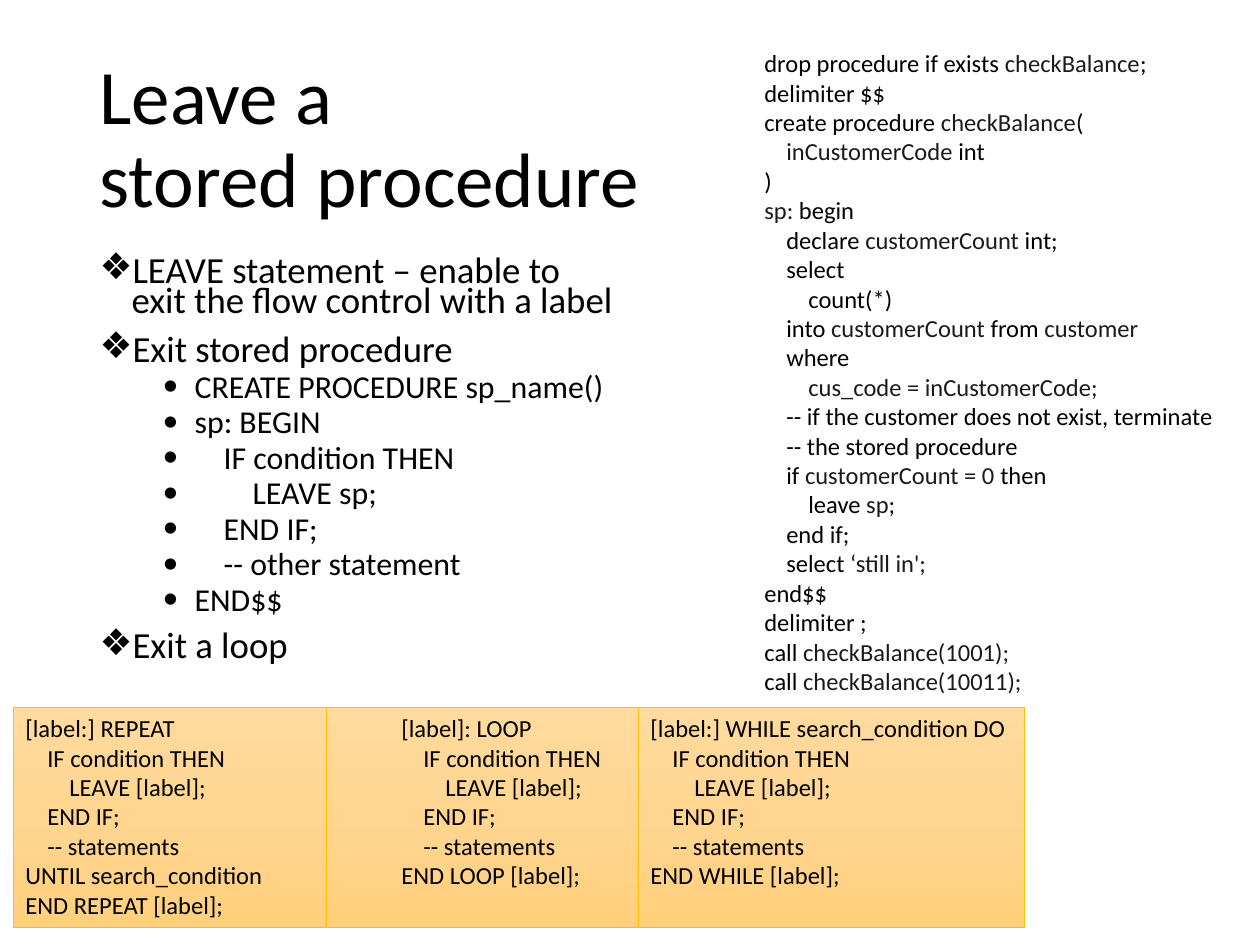
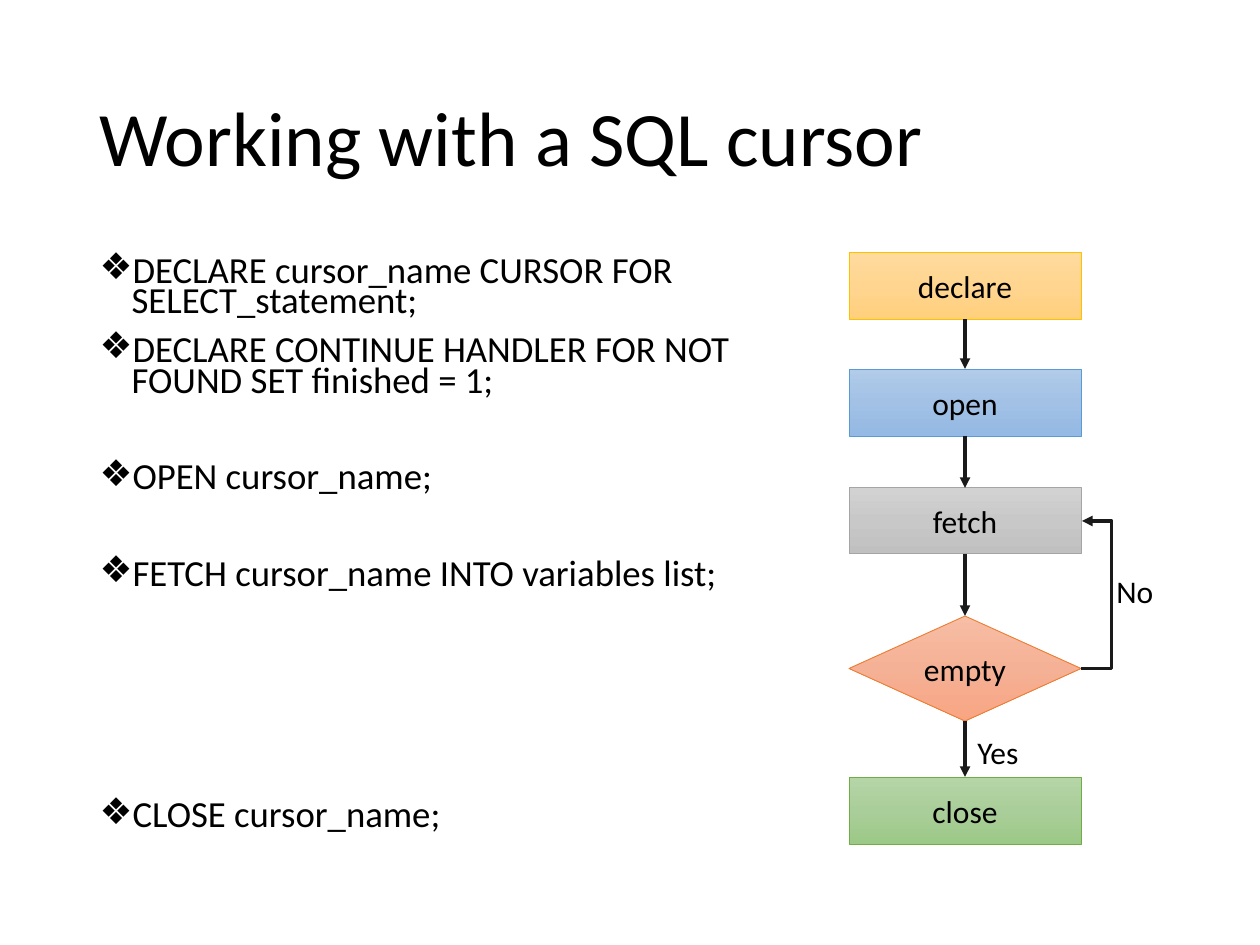
"""Build two slides on leaving stored procedures and working with cursors."""
from itertools import pairwise

from pptx import Presentation
from pptx.dml.color import RGBColor
from pptx.enum.shapes import MSO_CONNECTOR, MSO_SHAPE
from pptx.enum.text import MSO_ANCHOR, MSO_AUTO_SIZE, PP_ALIGN
from pptx.oxml import parse_xml
from pptx.oxml.ns import nsdecls
from pptx.util import Pt

EMU_PER_PIXEL = 914400 / 126
FONT = "Calibri"
COLORS = {"text": "000000", "accent": "1A1A1A"}
PALETTES = {
    "gold": ("FFC000", ("FFDB9E", "FFD590", "FFD07C")),
    "blue": ("5B9BD5", ("B1CBE9", "A3C1E5", "93B9E4")),
    "gray": ("A5A5A5", ("D2D2D2", "C8C8C8", "C0C0C0")),
    "orange": ("ED7D31", ("F7BDA5", "F5B196", "F8A582")),
    "green": ("70AD47", ("B5D5A7", "AACE9A", "9CC987")),
}
TITLE_AREA = (87, 50, 1086, 183)
TITLE_FORMAT = {"alignment": PP_ALIGN.LEFT, "line_spacing": 0.9, "space_before": Pt(0)}
CODE_FORMAT = {"alignment": PP_ALIGN.LEFT}
LABEL_FORMAT = {"alignment": PP_ALIGN.CENTER}
CODE_STEP = 22
BULLET_STEP = 29
BULLET_HANG = 32
BULLET_LEVELS = [
    {"mark": "❖", "size": 21, "margin": 32, "before": 10},
    {"mark": "•", "size": 18.2, "margin": 95, "before": 5},
]
BLANK_LINE = 27.6

LEAVE_TITLE = "Leave a\vstored procedure"
LEAVE_AREA = (87, 252, 543, 486)
LEAVE_BULLETS = [
    (0, 0, "LEAVE statement – enable to exit the flow control with a label", 0),
    (0, 0, "Exit stored procedure", 0),
    (1, 0, "CREATE PROCEDURE sp_name()", 0),
    (1, 0, "sp: BEGIN", 0),
    (1, 1, "IF condition THEN", 0),
    (1, 2, "LEAVE sp;", 0),
    (1, 1, "END IF;", 0),
    (1, 1, "-- other statement", 0),
    (1, 0, "END$$", 0),
    (0, 0, "Exit a loop", 0),
]
PROCEDURE_AREA = (752, 42, 630, 665)
PROCEDURE = [
    (0, "drop procedure if exists |checkBalance|;"),
    (0, "delimiter $$"),
    (0, "create procedure |checkBalance|("),
    (1, "|inCustomerCode| int"),
    (0, ")"),
    (0, "|sp: |begin"),
    (1, "declare |customerCount| int;"),
    (1, "select"),
    (2, "count(*)"),
    (1, "into |customerCount| from |customer"),
    (1, "where"),
    (2, "|cus_code = inCustomerCode;"),
    (1, "-- if the customer does not exist, terminate"),
    (1, "-- the stored procedure"),
    (1, "if |customerCount = 0 |then"),
    (2, "leave |sp|;"),
    (1, "end if;"),
    (1, "select |‘still in';"),
    (0, "end$$"),
    (0, "delimiter ;"),
    (0, "call |checkBalance(1001);"),
    (0, "call |checkBalance(10011);"),
]
LOOP_TOP, LOOP_HEIGHT = 707, 221
LOOP_BODY = [
    (1, "IF condition THEN"),
    (2, "LEAVE [label];"),
    (1, "END IF;"),
    (1, "-- statements"),
]
LOOPS = [
    (13, 314, 0, "[label:] REPEAT", ["UNTIL search_condition", "END REPEAT [label];"]),
    (326, 314, 63, "[label]: LOOP", ["END LOOP [label];"]),
    (638, 387, 0, "[label:] WHILE search_condition DO", ["END WHILE [label];"]),
]

CURSOR_TITLE = "Working with a SQL cursor"
CURSOR_AREA = (87, 252, 690, 600)
CURSOR_BULLETS = [
    (0, 0, "DECLARE cursor_name CURSOR FOR SELECT_statement;", 0),
    (0, 0, "DECLARE CONTINUE HANDLER FOR NOT FOUND SET finished = 1;", 0),
    (0, 0, "OPEN cursor_name;", 1),
    (0, 0, "FETCH cursor_name INTO variables list;", 1),
    (0, 0, "CLOSE cursor_name;", 4),
]
STEP_LEFT, STEP_WIDTH = 849, 232
STEPS = [
    ("declare", "gold", MSO_SHAPE.RECTANGLE, 252, 67),
    ("open", "blue", MSO_SHAPE.RECTANGLE, 369, 67),
    ("fetch", "gray", MSO_SHAPE.RECTANGLE, 488, 66),
    ("empty", "orange", MSO_SHAPE.DIAMOND, 616, 105),
    ("close", "green", MSO_SHAPE.RECTANGLE, 777, 67),
]
ANSWERS = [("No", (1104, 566, 69, 50)), ("Yes", (965, 727, 73, 50))]
RETURN_REACH = 31


def pixels(value):
    return round(value * EMU_PER_PIXEL)


def area(values):
    return [pixels(value) for value in values]


def apply(target, values):
    for name, value in values.items():
        setattr(target, name, value)


def place(shape, values):
    apply(shape, dict(zip(("left", "top", "width", "height"), area(values))))


def color(name):
    return RGBColor.from_string(COLORS.get(name, name))


def add_text(paragraph, text, size, formats):
    apply(paragraph, formats)
    for index, part in enumerate(text.split("|")):
        if part:
            run = paragraph.add_run()
            run.text = part
            apply(run.font, {"name": FONT, "size": Pt(size)})
            run.font.color.rgb = color("accent" if index % 2 else "text")


def paragraphs(frame, count):
    return [frame.paragraphs[0]] + [frame.add_paragraph() for _ in range(count - 1)]


def indent(paragraph, margin, hanging=0):
    properties = paragraph._p.get_or_add_pPr()
    properties.set("marL", str(pixels(margin)))
    properties.set("indent", str(-pixels(hanging)))
    return properties


def write_code(frame, lines, base=0):
    apply(frame, {"word_wrap": True, "vertical_anchor": MSO_ANCHOR.TOP})
    for paragraph, (depth, text) in zip(paragraphs(frame, len(lines)), lines):
        add_text(paragraph, text, 14, CODE_FORMAT)
        indent(paragraph, base + depth * CODE_STEP)


def write_bullets(frame, lines):
    for paragraph, (level, depth, text, blanks) in zip(paragraphs(frame, len(lines)), lines):
        style = BULLET_LEVELS[level]
        add_text(paragraph, text, style["size"], {
            "level": level,
            "line_spacing": 0.7,
            "space_before": Pt(style["before"] + blanks * BLANK_LINE),
        })
        shift = depth * BULLET_STEP
        properties = indent(paragraph, style["margin"] + shift, BULLET_HANG + shift)
        properties.append(parse_xml(f'<a:buFont {nsdecls("a")} typeface="{FONT}"/>'))
        properties.append(parse_xml(f'<a:buChar {nsdecls("a")} char="{style["mark"]}"/>'))


def add_slide(presentation, title, bullets, body_area):
    slide = presentation.slides.add_slide(presentation.slide_layouts[1])
    heading, body = slide.placeholders
    place(heading, TITLE_AREA)
    apply(heading.text_frame, {
        "text": title, "vertical_anchor": MSO_ANCHOR.MIDDLE, "auto_size": MSO_AUTO_SIZE.NONE,
    })
    paragraph = heading.text_frame.paragraphs[0]
    apply(paragraph, TITLE_FORMAT)
    for run in paragraph.runs:
        apply(run.font, {"name": FONT, "size": Pt(44)})
        run.font.color.rgb = color("text")
    place(body, body_area)
    apply(body.text_frame, {"auto_size": MSO_AUTO_SIZE.NONE, "vertical_anchor": MSO_ANCHOR.TOP})
    write_bullets(body.text_frame, bullets)
    return slide


def add_box(slide, kind, box_area, palette):
    shape = slide.shapes.add_shape(kind, *area(box_area))
    shape.shadow.inherit = False
    outline, shades = PALETTES[palette]
    shape.line.color.rgb = color(outline)
    shape.line.width = Pt(0.5)
    stops = "".join(
        f'<a:gs pos="{index * 50000}"><a:srgbClr val="{shade}"/></a:gs>'
        for index, shade in enumerate(shades)
    )
    gradient = parse_xml(
        f'<a:gradFill {nsdecls("a")} rotWithShape="1"><a:gsLst>{stops}</a:gsLst>'
        '<a:lin ang="5400000" scaled="0"/></a:gradFill>'
    )
    shape.element.xpath("./p:spPr/a:prstGeom")[0].addnext(gradient)
    return shape


def add_arrow(slide, kind, points):
    arrow = slide.shapes.add_connector(kind, *points)
    arrow.line.color.rgb = color("accent")
    arrow.line.width = Pt(2)
    line = arrow.element.xpath(".//a:ln")[0]
    line.append(parse_xml(f'<a:tailEnd {nsdecls("a")} type="triangle"/>'))
    arrow.element.spPr.append(parse_xml(f'<a:effectLst {nsdecls("a")}/>'))
    return arrow


def build_leave(presentation):
    slide = add_slide(presentation, LEAVE_TITLE, LEAVE_BULLETS, LEAVE_AREA)
    write_code(slide.shapes.add_textbox(*area(PROCEDURE_AREA)).text_frame, PROCEDURE)
    for left, width, base, opening, closing in LOOPS:
        box = add_box(slide, MSO_SHAPE.RECTANGLE, (left, LOOP_TOP, width, LOOP_HEIGHT), "gold")
        lines = [(0, opening), *LOOP_BODY, *((0, text) for text in closing)]
        write_code(box.text_frame, lines, base)


def build_cursor(presentation):
    slide = add_slide(presentation, CURSOR_TITLE, CURSOR_BULLETS, CURSOR_AREA)
    boxes = {}
    for label, palette, kind, top, height in STEPS:
        box = add_box(slide, kind, (STEP_LEFT, top, STEP_WIDTH, height), palette)
        box.text_frame.vertical_anchor = MSO_ANCHOR.MIDDLE
        add_text(box.text_frame.paragraphs[0], label, 18, LABEL_FORMAT)
        boxes[label] = box
    for upper, lower in pairwise(boxes.values()):
        arrow = add_arrow(slide, MSO_CONNECTOR.STRAIGHT, (0, 0, 0, 0))
        arrow.begin_connect(upper, 2)
        arrow.end_connect(lower, 0)
    right = pixels(STEP_LEFT + STEP_WIDTH)
    start, end = (boxes[name].top + boxes[name].height // 2 for name in ("empty", "fetch"))
    points = (right, start, right + pixels(1), end)
    bend = add_arrow(slide, MSO_CONNECTOR.ELBOW, points)
    bend.element.xpath(".//a:avLst")[0].append(parse_xml(
        f'<a:gd {nsdecls("a")} name="adj1" fmla="val {RETURN_REACH * 100000}"/>'
    ))
    for text, answer_area in ANSWERS:
        frame = slide.shapes.add_textbox(*area(answer_area)).text_frame
        frame.word_wrap = False
        add_text(frame.paragraphs[0], text, 18, CODE_FORMAT)


presentation = Presentation()
apply(presentation, {"slide_width": pixels(1260), "slide_height": pixels(945)})
build_leave(presentation)
build_cursor(presentation)
presentation.save("out.pptx")
